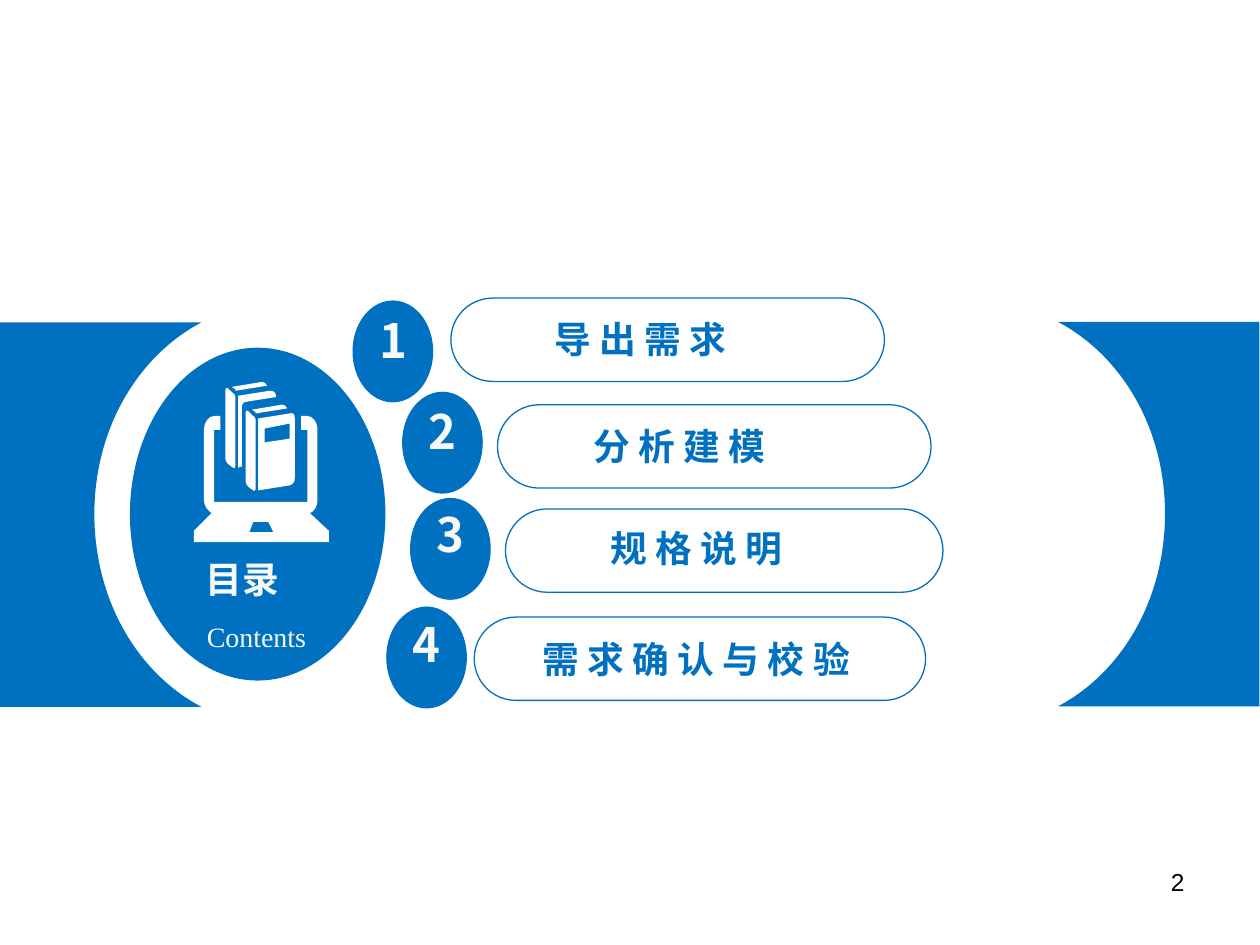
from dataclasses import dataclass

from pptx import Presentation
from pptx.dml.color import RGBColor
from pptx.enum.shapes import MSO_SHAPE
from pptx.enum.text import MSO_ANCHOR, MSO_AUTO_SIZE, PP_ALIGN
from pptx.oxml.ns import qn
from pptx.oxml.xmlchemy import OxmlElement
from pptx.util import Cm, Pt


@dataclass(frozen=True)
class Theme:
    blue: RGBColor = RGBColor(0x00, 0x70, 0xC0)
    white: RGBColor = RGBColor(0xFF, 0xFF, 0xFF)
    pale: RGBColor = RGBColor(0xF8, 0xF8, 0xF8)
    black: RGBColor = RGBColor(0, 0, 0)
    heading_font: str = "Noto Sans CJK SC"
    latin_font: str = "Times New Roman"
    page_font: str = "Arial"
    heading_size: int = 21
    number_size: int = 27
    caption_size: int = 16
    page_size: int = 14
    outline: float = 0.75


THEME = Theme()
HEADING = {"name": THEME.heading_font, "size": Pt(THEME.heading_size), "bold": True}
NUMBER = {**HEADING, "size": Pt(THEME.number_size)}
CAPTION = {"name": THEME.latin_font, "size": Pt(THEME.caption_size), "bold": False}
PAGE = {"name": THEME.page_font, "size": Pt(THEME.page_size), "bold": False}

# Outlines: M starts a contour, L takes points, C takes cubic curves
BAND_GRID = (160, 305)
BAND = ["M 160 305 L 0 305 0 0 160 0 C 109 27 75 85 75 152 75 220 109 278 160 305"]
ICON_GRID = (107, 127)
BOOK = [
    "M 30 4 L 33 6 C 33 6 33 6 33 7 L 58 3 C 57 1 56 0 54 0",
    "M 27 5 L 31 9 C 32 9 33 11 33 12 L 33 67 C 33 68 32 69 31 68 "
    "L 27 65 C 26 64 25 62 25 61 L 25 6 C 25 5 26 4 27 5",
]
FRONT_BOOK_SHIFT = (16, 18)
COVERS = [
    "M 51 29 L 76 25 C 79 24 80 26 80 29 L 80 76 C 80 79 79 81 76 82 L 51 86",
    "M 56 37 L 76 33 76 45 56 48",
    "M 35 11 L 60 7 C 63 7 65 8 65 11 L 65 12 40 16 C 38 17 38 19 38 21 L 38 67 35 68",
]
LAPTOP = [
    "M 16 38 L 21 38 21 27 16 27 C 12 27 8 32 8 37 L 8 94 C 8 98 11 102 14 104 "
    "L 0 118 0 127 107 127 107 118 92 104 C 95 103 98 99 98 94 L 98 37 "
    "C 98 32 94 27 90 27 L 85 27 85 38 90 38 90 95 16 95",
    "M 47 111 L 59 111 63 119 44 119",
]

# Text, oval (left, top), number (left, top), pill and label (left, top, width), indent
AGENDA = [
    ("导 出 需 求", (7.12, 6.07), (7.43, 6.16), (9.09, 6.01, 8.74), (10.44, 6.28, 5.97), 0.5),
    ("分 析 建 模", (8.12, 7.91), (8.4, 7.99), (10.03, 8.16, 8.74), (11.23, 8.44, 7.49), 0.5),
    ("规 格 说 明", (8.28, 10.05), (8.57, 10.08), (10.19, 10.26, 8.82), (11.57, 10.48, 4.6), 0.5),
    ("需 求 确 认 与 校 验", (7.8, 12.24), (8.09, 12.29), (9.56, 12.44, 9.1), (10.71, 12.72, 6.8), 0),
]


def apply(target, values):
    for name, value in values.items():
        setattr(target, name, value)


def trace(outline, shift=(0, 0)):
    """Turn one outline into a list of (command, x, y)."""
    tokens, knots, command = iter(outline.split()), [], "M"
    for token in tokens:
        if token.isalpha():
            command, token = token, next(tokens)
        knots.append((command, int(token) + shift[0], int(next(tokens)) + shift[1]))
    return knots


def bend(shape, commands):
    """Join each run of three curve knots into one cubic curve."""
    segments = list(shape.element.find(".//" + qn("a:path")))
    curve = None
    for command, segment in zip(commands, segments):
        if command != "C":
            continue
        if curve is None:
            curve = OxmlElement("a:cubicBezTo")
            segment.addprevious(curve)
        curve.append(segment[0])
        segment.getparent().remove(segment)
        if len(curve) == 3:
            curve = None


def paint(shape, fill=None, line=None):
    shape.shadow.inherit = False
    if fill is None:
        shape.fill.background()
    else:
        shape.fill.solid()
        shape.fill.fore_color.rgb = fill
    if line is None:
        shape.line.fill.background()
    else:
        shape.line.color.rgb = line
        shape.line.width = Pt(THEME.outline)
    return shape


def add_outline(slide, box, grid, contours, fill, mirror=False):
    left, top, width, height = box
    builder, commands = None, []
    for contour in contours:
        start, *rest = [
            (Cm(left + width * (grid[0] - x if mirror else x) / grid[0]),
             Cm(top + height * y / grid[1])) for _, x, y in contour]
        if builder is None:
            builder = slide.shapes.build_freeform(*start)
        else:
            builder.move_to(*start)
        builder.add_line_segments(rest, close=True)
        commands += [command for command, _, _ in contour] + ["Z"]
    shape = builder.convert_to_shape()
    bend(shape, commands)
    return paint(shape, fill)


def add_preset(slide, kind, box, fill=None, line=None):
    return paint(slide.shapes.add_shape(kind, *map(Cm, box)), fill, line)


def write(shape, text, font, color, align=PP_ALIGN.LEFT, inset=(0.23, 0.11), indent=0):
    side, end = map(Cm, inset)
    frame = shape.text_frame
    apply(frame, {"word_wrap": True, "auto_size": MSO_AUTO_SIZE.NONE,
                  "vertical_anchor": MSO_ANCHOR.TOP, "margin_left": side + Cm(indent),
                  "margin_right": side, "margin_top": end, "margin_bottom": end})
    paragraph = frame.paragraphs[0]
    paragraph.alignment = align
    run = paragraph.add_run()
    run.text = text
    apply(run.font, font)
    run.font.color.rgb = color
    east_asian = OxmlElement("a:ea")
    east_asian.set("typeface", font["name"])
    run._r.get_or_add_rPr().append(east_asian)


def add_text(slide, box, *content, **layout):
    write(slide.shapes.add_textbox(*map(Cm, box)), *content, **layout)


def add_emblem(slide, box):
    """Blue oval with books, laptop, title and caption."""
    left, top, _, _ = box
    add_preset(slide, MSO_SHAPE.OVAL, box, THEME.blue)

    # Icon
    contours = [trace(outline, shift) for shift in ((0, 0), FRONT_BOOK_SHIFT) for outline in BOOK]
    contours += [trace(outline) for outline in COVERS + LAPTOP]
    add_outline(slide, (left + 1.29, top + 0.69, 2.72, 3.23), ICON_GRID, contours, THEME.white)

    # Title, brought in front of the oval
    title = slide.shapes.title
    apply(title, dict(zip(("left", "top", "width", "height"),
                          map(Cm, (left + 1.29, top + 4.11, 2.54, 1.12)))))
    write(title, "目录", HEADING, THEME.pale)
    title.element.getparent().append(title.element)
    add_text(slide, (left + 1.32, top + 5.36, 2.5, 0.91), "Contents", CAPTION, THEME.pale)


def add_agenda_item(slide, number, text, badge, digit, pill, label, indent):
    """Numbered oval beside an outlined pill."""
    add_preset(slide, MSO_SHAPE.OVAL, (*badge, 1.6, 2.03), THEME.blue, THEME.blue)
    add_text(slide, (*digit, 1.04, 1.37), str(number), NUMBER, THEME.pale)
    outline = add_preset(slide, MSO_SHAPE.ROUNDED_RECTANGLE, (*pill, 1.68), line=THEME.blue)
    outline.adjustments[0] = 0.5
    add_text(slide, (*label, 1.12), text, HEADING, THEME.blue, indent=indent)


def build_contents(presentation):
    slide = presentation.slides.add_slide(presentation.slide_layouts[5])
    band = [trace(outline) for outline in BAND]
    add_outline(slide, (0, 6.5, 4.06, 7.75), BAND_GRID, band, THEME.blue)
    add_outline(slide, (21.33, 6.49, 4.06, 7.75), BAND_GRID, band, THEME.blue, mirror=True)
    add_emblem(slide, (2.62, 7.01, 5.15, 6.71))
    for number, item in enumerate(AGENDA, start=1):
        add_agenda_item(slide, number, *item)
    # Page number
    add_text(slide, (18.21, 17.35, 5.92, 1.32), "2", PAGE, THEME.black,
             align=PP_ALIGN.RIGHT, inset=(0.25, 0.13))


def main():
    presentation = Presentation()
    apply(presentation, {"slide_width": Cm(25.4), "slide_height": Cm(19.05)})
    build_contents(presentation)
    presentation.save("out.pptx")


if __name__ == "__main__":
    main()
